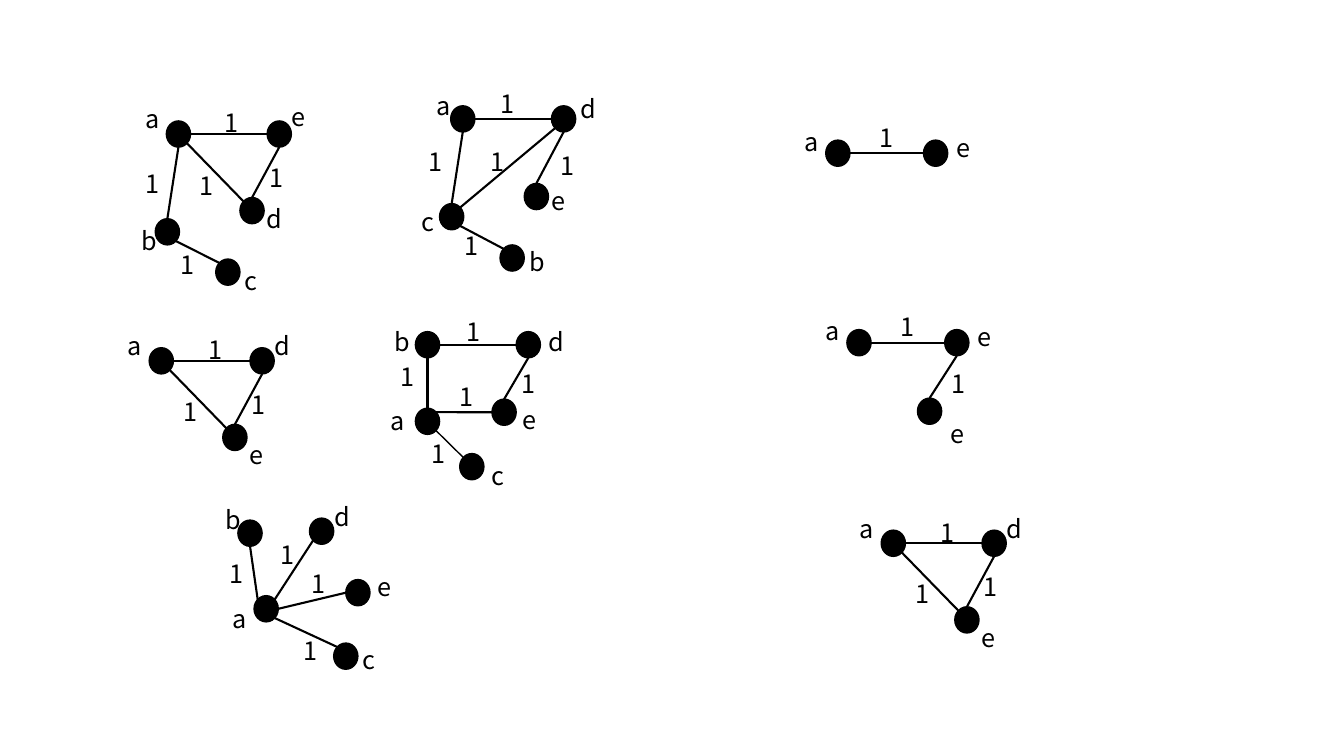
from dataclasses import dataclass

from lxml.etree import SubElement
from pptx import Presentation
from pptx.dml.color import RGBColor
from pptx.enum.shapes import MSO_CONNECTOR, MSO_SHAPE
from pptx.enum.text import MSO_AUTO_SIZE
from pptx.oxml.ns import qn
from pptx.util import Inches, Pt


@dataclass(frozen=True)
class Theme:
    ink: RGBColor = RGBColor(0, 0, 0)
    font: str = "Noto Sans CJK SC"
    label_size: float = 18
    outline: float = 1
    edge: float = 1.5


THEME = Theme()
NODE_WIDTH, NODE_HEIGHT = 0.24, 0.26
LABEL_WIDTH, LABEL_HEIGHT = 0.33, 0.4
SITES = {
    "top": (0.5, 0),
    "bottom": (0.5, 1),
    "left": (0, 0.5),
    "right": (1, 0.5),
    "top left": (0.15, 0.15),
    "top right": (0.85, 0.15),
    "bottom left": (0.15, 0.85),
    "bottom right": (0.85, 0.85),
}
ACROSS = ("right", "left")
DOWN = ("bottom", "top")
FALLING = ("bottom right", "top left")
RISING = ("top right", "bottom left")

# Nodes: name -> (node offset, label offset). Edges: start, end, sites, label offset.
TRIANGLE = (
    {
        "a": ((0, 0), (-0.31, -0.22)),
        "d": ((1, 0), (1.14, -0.22)),
        "e": ((0.73, 0.76), (0.9, 0.86)),
    },
    [
        ("a", "e", FALLING, (0.24, 0.43)),
        ("d", "e", DOWN, (0.92, 0.36)),
        ("a", "d", ACROSS, (0.49, -0.18)),
    ],
)
PAIR = (
    {
        "a": ((0, 0), (-0.31, -0.19)),
        "e": ((0.97, 0), (1.2, -0.13)),
    },
    [("a", "e", ACROSS, (0.43, -0.23))],
)
PAIR_WITH_TAIL = (
    PAIR[0] | {"e2": ((0.7, 0.68), (0.93, 0.83))},
    PAIR[1] + [("e", "e2", DOWN, (0.94, 0.34))],
)
TRIANGLE_WITH_TAIL = (
    {
        "a": ((0, 0), (-0.31, -0.22)),
        "e": ((1, 0), (1.14, -0.24)),
        "d": ((0.73, 0.76), (0.9, 0.77)),
        "b": ((-0.11, 0.97), (-0.34, 0.99)),
        "c": ((0.49, 1.37), (0.68, 1.38)),
    },
    [
        ("a", "d", FALLING, (0.23, 0.44)),
        ("a", "b", DOWN, (-0.31, 0.42)),
        ("e", "d", DOWN, (0.92, 0.36)),
        ("a", "e", ACROSS, (0.48, -0.18)),
        ("b", "c", FALLING, (0.04, 1.22)),
    ],
)
TRIANGLE_WITH_TWO_TAILS = (
    {
        "a": ((0, 0), (-0.24, -0.2)),
        "d": ((1, 0), (1.19, -0.17)),
        "e": ((0.73, 0.77), (0.9, 0.74)),
        "c": ((-0.11, 0.97), (-0.39, 0.95)),
        "b": ((0.49, 1.38), (0.68, 1.34)),
    },
    [
        ("c", "d", RISING, (0.3, 0.35)),
        ("a", "c", DOWN, (-0.32, 0.35)),
        ("d", "e", DOWN, (0.99, 0.39)),
        ("a", "d", ACROSS, (0.4, -0.22)),
        ("c", "b", FALLING, (0.04, 1.19)),
    ],
)
SQUARE_WITH_TAIL = (
    {
        "b": ((0, 0), (-0.31, -0.1)),
        "d": ((1, 0), (1.22, -0.1)),
        "a": ((0, 0.76), (-0.34, 0.68)),
        "e": ((0.76, 0.67), (0.96, 0.67)),
        "c": ((0.44, 1.21), (0.66, 1.23)),
    },
    [
        ("a", "e", ("top right", "left"), (0.34, 0.44)),
        ("b", "a", DOWN, (-0.25, 0.25)),
        ("d", "e", DOWN, (0.95, 0.32)),
        ("b", "d", ACROSS, (0.41, -0.2)),
        ("a", "c", FALLING, (0.06, 1.01), THEME.outline),
    ],
)
STAR = (
    {
        "a": ((0, 0), (-0.31, 0.03)),
        "b": ((-0.16, -0.75), (-0.38, -0.96)),
        "d": ((0.55, -0.77), (0.7, -0.99)),
        "e": ((0.91, -0.16), (1.13, -0.29)),
        "c": ((0.79, 0.47), (0.98, 0.43)),
    },
    [
        ("a", "d", RISING, (0.16, -0.61)),
        ("b", "a", ("bottom", "top left"), (-0.34, -0.42)),
        ("a", "e", ACROSS, (0.47, -0.32)),
        ("a", "c", FALLING, (0.39, 0.34)),
    ],
)
GRAPHS = [
    ((1.65, 1.2), TRIANGLE_WITH_TAIL),
    ((4.47, 1.05), TRIANGLE_WITH_TWO_TAILS),
    ((8.19, 1.39), PAIR),
    ((1.48, 3.45), TRIANGLE),
    ((4.12, 3.29), SQUARE_WITH_TAIL),
    ((8.4, 3.27), PAIR_WITH_TAIL),
    ((2.52, 5.91), STAR),
    ((8.74, 5.26), TRIANGLE),
]
WEIGHT = "1"


def shift(origin, offset):
    return origin[0] + offset[0], origin[1] + offset[1]


def site_point(corner, site):
    across, down = SITES[site]
    return shift(corner, (across * NODE_WIDTH, down * NODE_HEIGHT))


def add_label(slide, text, corner, *, size=THEME.label_size, color=THEME.ink, font=THEME.font):
    left, top = corner
    box = slide.shapes.add_textbox(
        Inches(left), Inches(top), Inches(LABEL_WIDTH), Inches(LABEL_HEIGHT)
    )
    frame = box.text_frame
    frame.word_wrap = True
    frame.auto_size = MSO_AUTO_SIZE.SHAPE_TO_FIT_TEXT
    run = frame.paragraphs[0].add_run()
    run.text = text
    run.font.size = Pt(size)
    run.font.name = font
    run.font.color.rgb = color


def add_node(slide, corner):
    left, top = corner
    node = slide.shapes.add_shape(
        MSO_SHAPE.OVAL, Inches(left), Inches(top), Inches(NODE_WIDTH), Inches(NODE_HEIGHT)
    )
    node.shadow.inherit = False
    node.fill.solid()
    node.fill.fore_color.rgb = THEME.ink
    node.line.color.rgb = THEME.ink
    node.line.width = Pt(THEME.outline)


def add_edge(slide, start, end, width=THEME.edge):
    edge = slide.shapes.add_connector(
        MSO_CONNECTOR.STRAIGHT, *(Inches(value) for value in start + end)
    )
    edge.line.color.rgb = THEME.ink
    edge.line.width = Pt(width)
    SubElement(edge._element.spPr, qn("a:effectLst"))


def add_graph(slide, origin, nodes, edges):
    corners = {name: shift(origin, offset) for name, (offset, _) in nodes.items()}
    for name, (_, label_offset) in nodes.items():
        add_node(slide, corners[name])
        add_label(slide, name[0], shift(origin, label_offset))
    for start, end, (start_site, end_site), label_offset, *width in edges:
        add_edge(
            slide,
            site_point(corners[start], start_site),
            site_point(corners[end], end_site),
            *width,
        )
        add_label(slide, WEIGHT, shift(origin, label_offset))


def main():
    presentation = Presentation()
    presentation.slide_width = Inches(13.33)
    presentation.slide_height = Inches(7.5)
    slide = presentation.slides.add_slide(presentation.slide_layouts[6])
    for origin, (nodes, edges) in GRAPHS:
        add_graph(slide, origin, nodes, edges)
    presentation.save("out.pptx")


if __name__ == "__main__":
    main()
